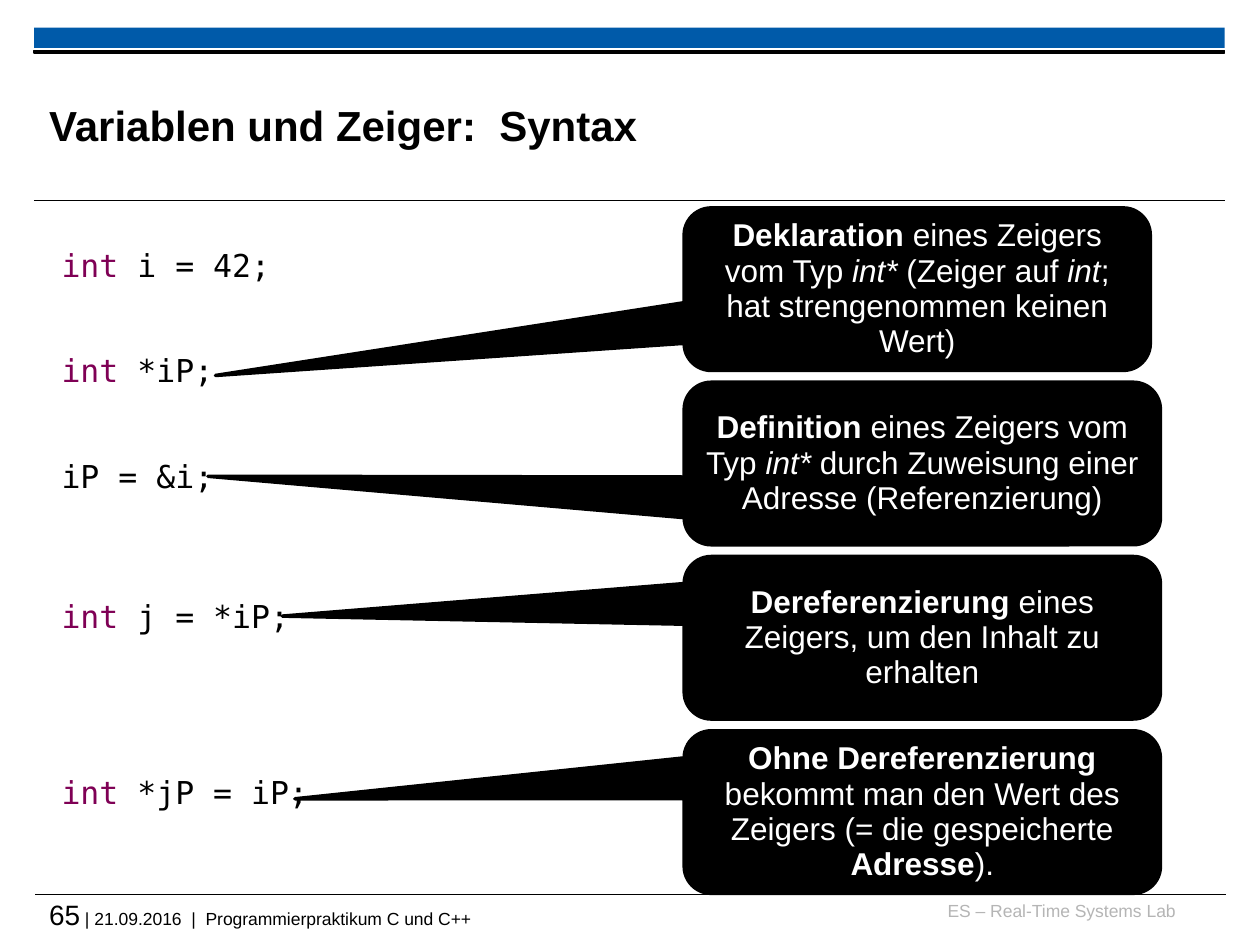
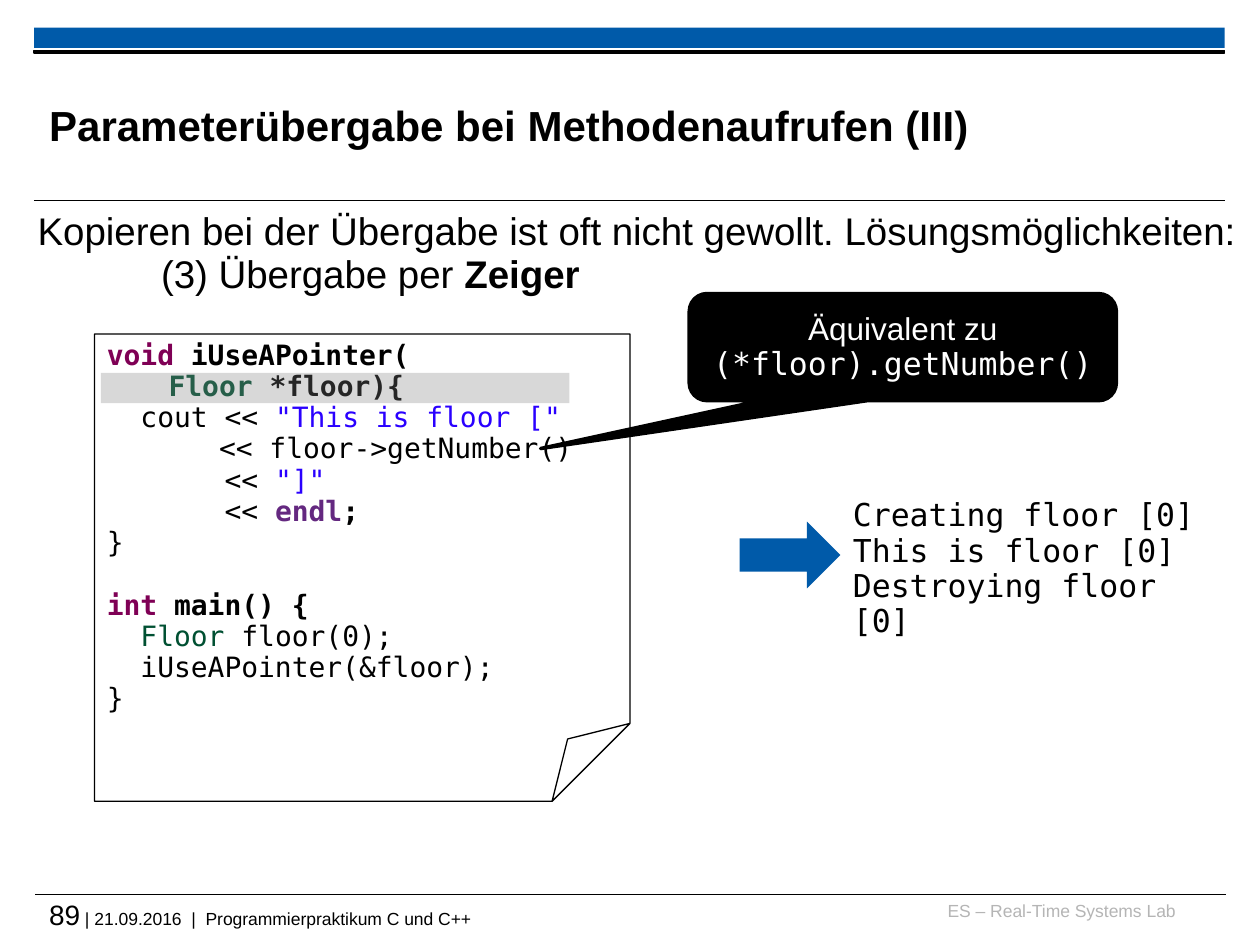
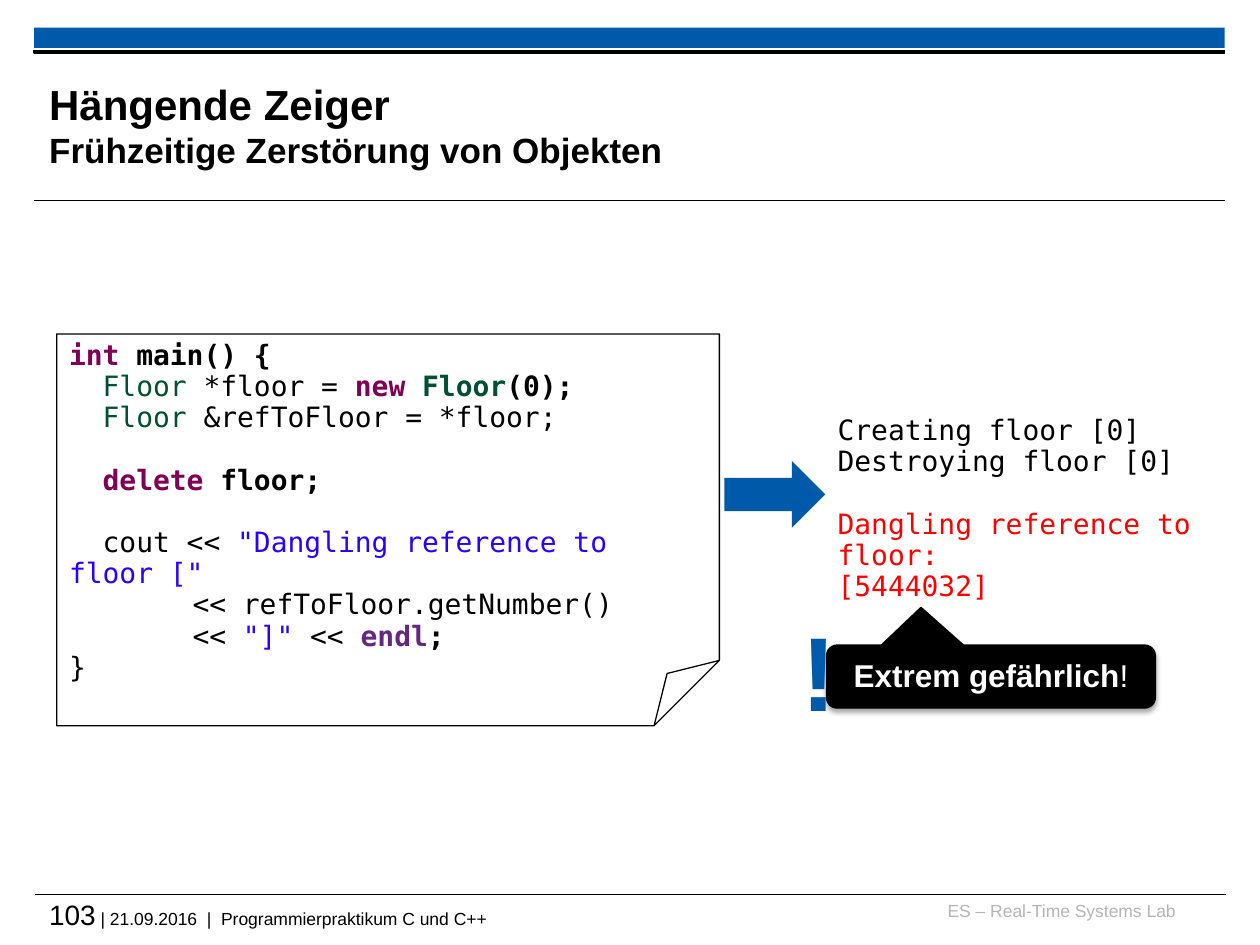
from lxml import etree
from pptx import Presentation
from pptx import util as u
from pptx.dml.color import RGBColor
from pptx.enum import shapes, text
from pptx.oxml import ns

COLORS = {
    "black": "000000", "white": "FFFFFF", "blue": "005AA9", "gray": "808080",
    "footer": "B5B5B5", "keyword": "7F0055", "type": "005032",
    "string": "2A00FF", "stream": "642880", "error": "FF0000",
}
SANS, MONO = "Arial", "DejaVu Sans Mono"
LINE_SPACING = 0.93
LINE_PITCH = 1.115  # height of a set line relative to the font size
TAB_WIDTH = 0.49
INSET = (0.1, 0.05)


def rgb(name):
    return RGBColor.from_string(COLORS[name])


def add_xml(parent, tag, **attributes):
    return etree.SubElement(parent, ns.qn(tag), attributes)


class Lecture:
    def __init__(self):
        self.deck = Presentation()
        self.deck.slide_width, self.deck.slide_height = u.Inches(10), u.Inches(7.5)
        self.slide = None

    def new_slide(self, number, *title):
        self.slide = self.deck.slides.add_slide(self.deck.slide_layouts[6])
        self.line(0.28, 9.73, 7.1)
        self.shape("RECTANGLE", (0.27, 0.22, 9.45, 0.16), "blue")
        self.line(0.27, 9.72, 1.59)
        self.shape("RECTANGLE", (0.27, 0.4, 9.45, 0.02), "black", 0.75)
        self.textbox((7.36, 7.14, 1.97, 0.25), ["ES – Real-Time Systems Lab"], 10,
                     color="footer", align="RIGHT", inset=(0, 0), spacing=1)
        self.textbox((0.39, 7.12, 9.33, 0.33),
                     [[(number, "size16"), " | 21.09.2016  |  Programmierpraktikum C und C++"]],
                     10, inset=(0, 0), spacing=1)
        self.textbox((0.39, 0.53, 7.52, 0.92), [title], 24, bold=True,
                     inset=(0, 0), anchor="MIDDLE", spacing=1)

    def line(self, left, right, top):
        rule = self.slide.shapes.add_connector(
            shapes.MSO_CONNECTOR.STRAIGHT,
            *(u.Inches(value) for value in (left, top, right, top)))
        rule.line.color.rgb = rgb("black")
        rule.line.width = u.Pt(0.6)
        add_xml(rule._element.spPr, "a:effectLst")

    def shape(self, kind, place, fill=None, outline=0):
        shape = self.slide.shapes.add_shape(
            getattr(shapes.MSO_SHAPE, kind), *map(u.Inches, place))
        shape.shadow.inherit = False
        if fill:
            shape.fill.solid()
            shape.fill.fore_color.rgb = rgb(fill)
        else:
            shape.fill.background()
        if outline:
            shape.line.color.rgb = rgb("black")
            shape.line.width = u.Pt(outline)
        else:
            shape.line.fill.background()
        return shape

    def fill_text(self, box, lines, size, font=SANS, color="black", bold=False,
                  align="LEFT", anchor="TOP", inset=INSET, spacing=LINE_SPACING):
        """Fill a shape; a line is a string or a list of spans, None leaves a line free."""
        frame = box.text_frame
        frame.word_wrap = True
        frame.vertical_anchor = getattr(text.MSO_ANCHOR, anchor)
        frame.margin_left = frame.margin_right = u.Inches(inset[0])
        frame.margin_top = frame.margin_bottom = u.Inches(inset[1])
        para, free_lines = None, 0
        for line in lines:
            if line is None:
                free_lines += 1
                continue
            para = frame.add_paragraph() if para else frame.paragraphs[0]
            para.alignment = getattr(text.PP_ALIGN, align)
            para.line_spacing = spacing
            if free_lines:
                para.space_before = u.Pt(round(free_lines * size * LINE_PITCH, 1))
                free_lines = 0
            spans = [line] if isinstance(line, str) else line
            if any("\t" in (span if isinstance(span, str) else span[0]) for span in spans):
                self.tab_stops(para)
            para.font.name, para.font.size, para.font.bold = font, u.Pt(size), bold
            para.font.color.rgb = rgb(color)
            for span in spans:
                self.span(para, *([span] if isinstance(span, str) else span))

    def tab_stops(self, para):
        stops = add_xml(para._p.get_or_add_pPr(), "a:tabLst")
        for count in (1, 2):
            add_xml(stops, "a:tab", pos=str(u.Inches(count * TAB_WIDTH)), algn="l")

    def span(self, para, words, style=""):
        """Add a run; style lists colour names, bold, italic, mono, break or sizeNN."""
        marks = style.split()
        if "break" in marks:
            para.add_line_break()
        run = para.add_run()
        run.text = words
        for mark in marks:
            if mark in COLORS:
                run.font.color.rgb = rgb(mark)
            elif mark == "bold":
                run.font.bold = True
            elif mark == "italic":
                run.font.italic = True
            elif mark == "mono":
                run.font.name = MONO
            elif mark.startswith("size"):
                run.font.size = u.Pt(int(mark[4:]))

    def textbox(self, place, lines, size, **style):
        box = self.slide.shapes.add_textbox(*map(u.Inches, place))
        self.fill_text(box, lines, size, **style)
        return box

    def code_page(self, place, lines):
        page = self.shape("FOLDED_CORNER", place, outline=0.75)
        self.fill_text(page, lines, 16, font=MONO)

    def callout(self, place, tip, spans, outline=2):
        """Draw a black speech bubble whose pointer ends at tip."""
        left, top, width, height = place
        bubble = self.shape("ROUNDED_RECTANGULAR_CALLOUT", place, "black", outline)
        bubble.adjustments[0] = (tip[0] - left) / width - 0.5
        bubble.adjustments[1] = (tip[1] - top) / height - 0.5
        self.fill_text(bubble, [spans], 18, color="white", align="CENTER", anchor="MIDDLE")
        return bubble

    def arrow(self, left, top):
        self.shape("RIGHT_ARROW", (left, top, 0.8, 0.53), "blue")

    def highlight(self, place):
        band = self.shape("RECTANGLE", place, "gray")
        color = band._element.spPr.find(".//" + ns.qn("a:srgbClr"))
        add_xml(color, "a:alpha", val="30000")

    def drop_shadow(self, shape):
        effects = shape._element.spPr.find(ns.qn("a:effectLst"))
        shadow = add_xml(effects, "a:outerShdw", blurRad=str(u.Pt(3.1)),
                         dist=str(u.Pt(1.8)), dir="5400000", rotWithShape="0")
        color = add_xml(shadow, "a:srgbClr", val=COLORS["black"])
        add_xml(color, "a:alpha", val="35000")


def pointer_syntax(lecture):
    lecture.new_slide("65", "Variablen und Zeiger:  Syntax")
    integer = ("int", "keyword")
    lecture.textbox((0.39, 1.93, 5, 4.61), [
        [integer, " i = 42;"], None, None,
        [integer, " *iP;"], None, None,
        "iP = &i;", None, None, None,
        [integer, " j = *iP;"], None, None, None, None,
        [integer, " *jP = iP;"],
    ], 18, font=MONO)
    explanations = [
        (3.7, (1.71, 2.98), [
            ("Deklaration ", "bold"), "eines Zeigers vom Typ ", ("int* ", "italic"),
            "(Zeiger auf ", ("int", "italic"), "; hat strengenommen keinen Wert)"]),
        (3.78, (1.65, 3.78), [
            ("Definition", "bold"), " eines Zeigers vom Typ ", ("int*", "italic"),
            " durch Zuweisung einer Adresse (Referenzierung)"]),
        (3.78, (2.24, 4.89), [
            ("Dereferenzierung", "bold"), " eines Zeigers, um den Inhalt zu erhalten"]),
        (3.78, (2.34, 6.34), [
            ("Ohne Dereferenzierung ", "bold"),
            "bekommt man den Wert des Zeigers (= die gespeicherte ",
            ("Adresse", "bold"), ")."]),
    ]
    for row, (width, tip, spans) in enumerate(explanations):
        lecture.callout((5.43, 1.65 + row * 4.15 / 3, width, 1.29), tip, spans)


def pass_by_pointer(lecture):
    lecture.new_slide("89", "Parameterübergabe bei Methodenaufrufen (III)")
    lecture.code_page((0.75, 2.65, 4.25, 3.71), [
        [("void ", "keyword bold"), ("iUseAPointer(", "bold"), ("\t", "break"),
         ("Floor ", "type bold"), ("*floor){", "bold")],
        ["  cout << ", ('"This is floor ["', "string")],
        "\t   << floor->getNumber()",
        ["       << ", ('"]"', "string")],
        ["       << ", ("endl", "stream bold"), (";", "bold")],
        "}",
        None,
        [("int ", "keyword bold"), ("main() {", "bold")],
        [("  Floor ", "type"), "floor(0);"],
        "  iUseAPointer(&floor);",
        "}",
    ])
    intro = lecture.textbox((0.2, 1.63, 9.92, 0.79), [
        "Kopieren bei der Übergabe ist oft nicht gewollt. Lösungsmöglichkeiten:",
        ["(3) Übergabe per ", ("Zeiger", "bold")],
    ], 22)
    option = intro.text_frame.paragraphs[1]._p.get_or_add_pPr()
    option.set("marL", str(u.Inches(2 * TAB_WIDTH)))
    option.set("indent", "0")
    lecture.arrow(5.87, 4.14)
    lecture.textbox((6.67, 3.91, 3.05, 0.95), [
        "Creating floor [0]", "This is floor [0]", "Destroying floor [0]",
    ], 18, font=MONO)
    lecture.highlight((0.8, 2.96, 3.72, 0.24))
    lecture.callout((5.47, 2.33, 3.39, 0.85), (4.29, 3.56),
                    ["Äquivalent zu ", ("(*floor).getNumber()", "mono")])


def dangling_pointers(lecture):
    lecture.new_slide("103", "Hängende Zeiger",
                      ("Frühzeitige Zerstörung von Objekten", "break size20"))
    lecture.code_page((0.45, 2.65, 5.26, 3.11), [
        [("int ", "keyword bold"), ("main() {", "bold")],
        [("  Floor ", "type"), "*floor = ", ("new ", "keyword bold"),
         ("Floor", "type bold"), ("(0);", "bold")],
        [("  Floor", "type"), " &refToFloor = *floor;"],
        None,
        [("  delete ", "keyword bold"), ("floor;", "bold")],
        None,
        ["  cout << ", ('"Dangling reference to floor ["', "string")],
        "\t\t<< refToFloor.getNumber()",
        ["\t\t<< ", ('"]" ', "string"), "<< ", ("endl", "stream bold"), (";", "bold")],
        "}",
    ])
    lecture.arrow(5.75, 3.66)
    lecture.textbox((6.55, 3.25, 3.23, 1.6), [
        "Creating floor [0]", "Destroying floor [0]", None,
        [("Dangling reference to floor:", "error")], [("[5444032]", "error")],
    ], 16, font=MONO)
    warning = lecture.callout((6.56, 5.12, 2.61, 0.5), (7.31, 4.82),
                              [("Extrem gefährlich", "bold"), "!"], outline=0.75)
    lecture.drop_shadow(warning)
    lecture.textbox((6.26, 4.85, 0.25, 1.04), ["!"], 60, color="blue", bold=True,
                    align="CENTER")


def main():
    lecture = Lecture()
    pointer_syntax(lecture)
    pass_by_pointer(lecture)
    dangling_pointers(lecture)
    lecture.deck.save("out.pptx")


if __name__ == "__main__":
    main()
